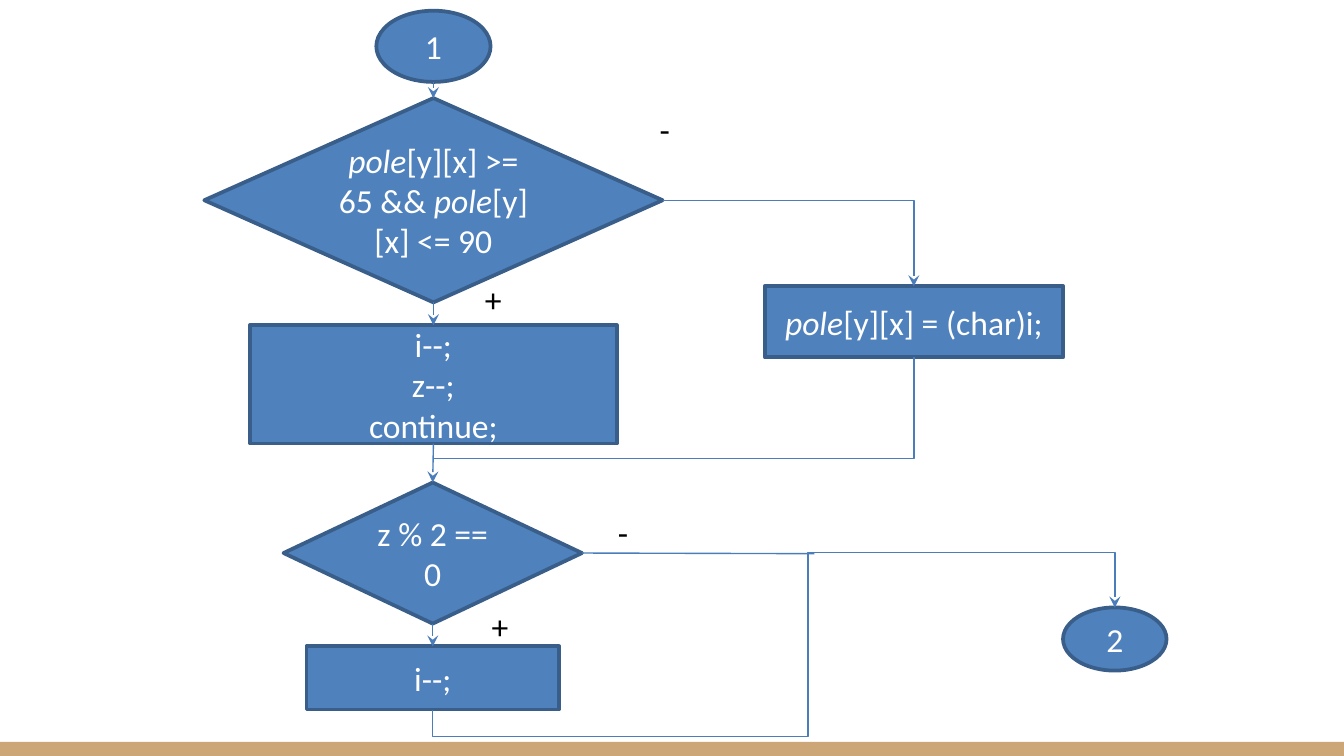
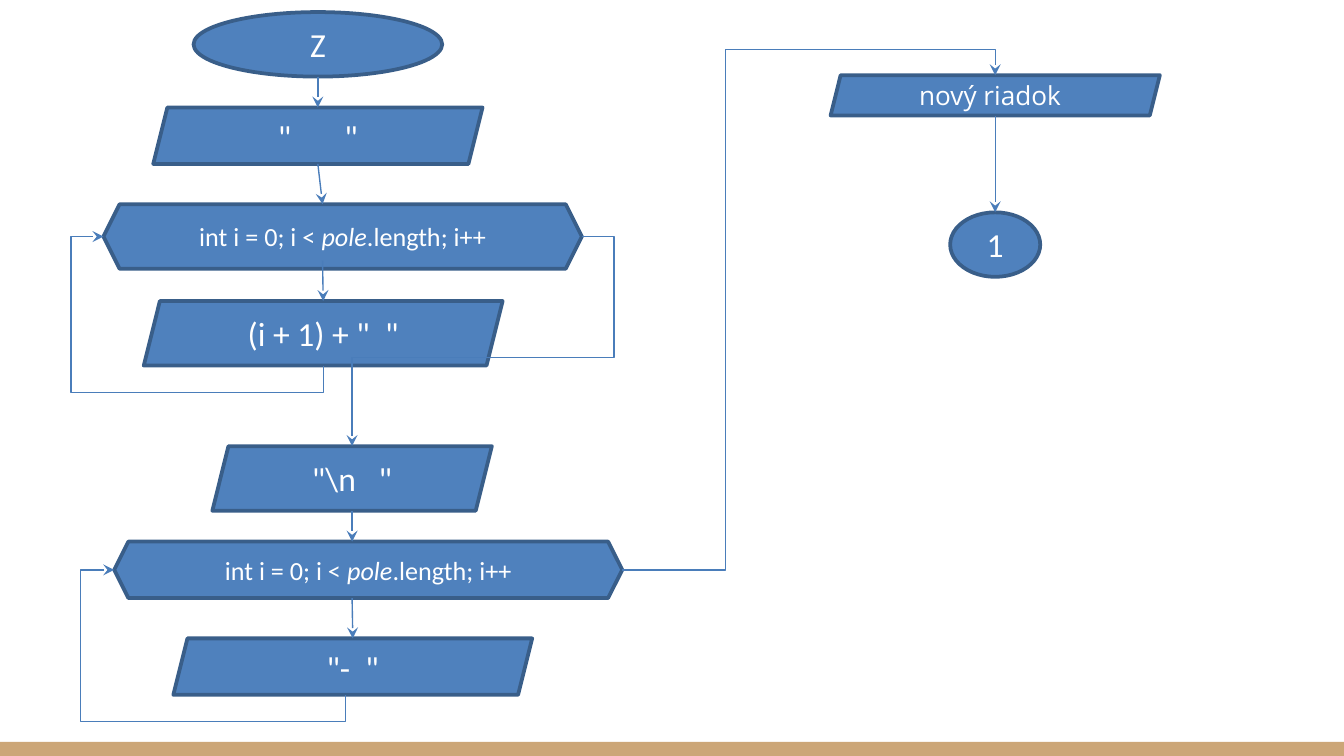
import pptx
import pptx.util
import pptx.dml.color
import pptx.enum.shapes
import pptx.enum.text
import pptx.oxml.ns
from lxml import etree

Inches = pptx.util.Inches
SHAPES = pptx.enum.shapes.MSO_SHAPE
CONNECTORS = pptx.enum.shapes.MSO_CONNECTOR
ALIGN = pptx.enum.text.PP_ALIGN
ANCHOR = pptx.enum.text.MSO_ANCHOR
qn = pptx.oxml.ns.qn

COLORS = {
    "band": "CCA677",
    "node": "4F81BD",
    "outline": "395E89",
    "arrow": "4A7DBA",
    "light": "FFFFFF",
    "dark": "000000",
}
KINDS = {
    "terminal": SHAPES.OVAL,
    "process": SHAPES.RECTANGLE,
    "decision": SHAPES.DIAMOND,
    "output": SHAPES.PARALLELOGRAM,
    "loop": SHAPES.HEXAGON,
}
LOOP_TEXT = "int i = 0; i < *pole*.length; i++"

# Nodes: name -> (kind, left, top, width, height, text); *...* is italic.
# Routes: points, each "node.side" or (x, y), and whether an arrowhead ends it.
# Labels: (text, left, top, width, height, format).
LETTER_CHECK = {
    "nodes": {
        "entry": ("terminal", 2.8, 0.08, 0.85, 0.53, "1"),
        "is_letter": ("decision", 1.52, 0.73, 3.41, 1.52,
                      "*pole*[y][x] >= 65 && *pole*[y][x] <= 90"),
        "skip": ("process", 1.86, 2.42, 2.73, 0.88, "i--;\nz--;\ncontinue;"),
        "store": ("process", 5.69, 2.13, 2.22, 0.53, "*pole*[y][x] = (char)i;"),
        "is_even": ("decision", 2.11, 3.59, 2.22, 1.05, "z % 2 == 0"),
        "step_back": ("process", 2.28, 4.81, 1.88, 0.47, "i--;"),
        "exit": ("terminal", 7.91, 4.52, 0.77, 0.47, "2"),
    },
    "routes": [
        (["entry.bottom", "is_letter.top"], True),
        (["is_letter.bottom", "skip.top"], True),
        (["skip.bottom", "is_even.top"], True),
        (["is_even.bottom", "step_back.top"], True),
        (["is_letter.right", (6.8, 1.48), "store.top"], True),
        (["store.bottom", (6.8, 3.41), (3.22, 3.41)], False),
        (["step_back.bottom", (3.22, 5.48), (6.01, 5.48), (6.01, 4.11),
          (8.29, 4.11), "exit.top"], True),
        (["is_even.right", (6.06, 4.12)], False),
    ],
    "labels": [
        ("+", 3.51, 2.03, 0.36, 0.3, {}),
        ("-", 4.81, 0.76, 0.3, 0.3, {}),
        ("+", 3.56, 4.46, 0.36, 0.3, {}),
        ("-", 4.5, 3.76, 0.3, 0.3, {}),
    ],
}
PRINT_HEADER = {
    "nodes": {
        "start": ("terminal", 1.44, 0.09, 1.85, 0.48, "Z"),
        "indent": ("output", 1.14, 0.8, 2.45, 0.42, '"       "'),
        "number_loop": ("loop", 0.77, 1.52, 3.56, 0.48, LOOP_TEXT),
        "number": ("output", 1.07, 2.24, 2.67, 0.48, '(i + 1) + "  "'),
        "line_break": ("output", 1.58, 3.32, 2.08, 0.48, '"\\n   "'),
        "dash_loop": ("loop", 0.85, 4.03, 3.78, 0.42, LOOP_TEXT),
        "dash": ("output", 1.29, 4.75, 2.67, 0.42, '"-  "'),
        "new_row": ("output", 6.18, 0.56, 2.45, 0.3, ""),
        "next": ("terminal", 7.07, 1.58, 0.67, 0.48, "1"),
    },
    "routes": [
        (["start.bottom", "indent.top"], True),
        (["indent.bottom", (2.4, 1.52)], True),
        ([(2.4, 1.94), "number.top"], True),
        (["number.bottom", (2.4, 2.92), (0.53, 2.92), (0.53, 1.76),
          "number_loop.left"], True),
        (["number_loop.right", (4.57, 1.76), (4.57, 2.66), (2.62, 2.66),
          "line_break.top"], True),
        (["line_break.bottom", (2.62, 4.03)], True),
        ([(2.62, 4.45), "dash.top"], True),
        ([(2.57, 5.17), (2.57, 5.37), (0.6, 5.37), (0.6, 4.24),
          "dash_loop.left"], True),
        (["dash_loop.right", (5.4, 4.24), (5.4, 0.37), (7.4, 0.37),
          "new_row.top"], True),
        (["new_row.bottom", "next.top"], True),
    ],
    "labels": [
        ("nový riadok", 6.74, 0.49, 2.24, 0.24,
         {"size": 14, "font": "Open Sans", "color": "light", "inset": 0.1}),
    ],
}


def rgb(name):
    return pptx.dml.color.RGBColor.from_string(COLORS[name])


def write_text(shape, text, size=18, font="Calibri", color="dark",
               align=ALIGN.LEFT, anchor=ANCHOR.TOP, inset=0.05):
    frame = shape.text_frame
    frame.word_wrap = True
    frame.vertical_anchor = anchor
    frame.margin_left = frame.margin_right = Inches(0.1)
    frame.margin_top = frame.margin_bottom = Inches(inset)
    for index, line in enumerate(text.split("\n")):
        paragraph = frame.add_paragraph() if index else frame.paragraphs[0]
        paragraph.alignment = align
        for part, words in enumerate(line.split("*")):
            if words:
                run = paragraph.add_run()
                run.text = words
                run.font.size = pptx.util.Pt(size)
                run.font.name = font
                run.font.italic = part % 2 == 1
                run.font.color.rgb = rgb(color)


def add_filled(slide, kind, box, fill):
    shape = slide.shapes.add_shape(kind, *map(Inches, box))
    shape.shadow.inherit = False
    shape.fill.solid()
    shape.fill.fore_color.rgb = rgb(fill)
    shape.line.fill.background()
    return shape


def add_node(slide, kind, left, top, width, height, text):
    shape = add_filled(slide, KINDS[kind], (left, top, width, height), "node")
    shape.line.color.rgb = rgb("outline")
    shape.line.width = pptx.util.Pt(2)
    if text:
        write_text(shape, text, size=14 if kind == "loop" else 18, color="light",
                   align=ALIGN.CENTER, anchor=ANCHOR.MIDDLE)


def locate(point, nodes):
    """Turn "node.side" into the middle of that side."""
    if not isinstance(point, str):
        return point
    name, side = point.split(".")
    left, top, width, height = nodes[name][1:5]
    across, down = {"top": (0.5, 0), "bottom": (0.5, 1),
                    "left": (0, 0.5), "right": (1, 0.5)}[side]
    return left + across * width, top + down * height


def bend(connector, points):
    """Shape an elbow connector so that it runs through the given points."""
    start, end = points[0], points[-1]
    delta = (end[0] - start[0], end[1] - start[1])
    # Axis of the first leg: 0 is horizontal, 1 is vertical
    first = int(abs(points[1][1] - start[1]) > abs(points[1][0] - start[0]))
    if first:
        turn = 90 if delta[0] < 0 else 270
    else:
        turn = 0 if delta[1] > 0 else 180
    flipped = (delta[first] < 0) != (turn in (180, 270))
    width, height = abs(delta[first]), abs(delta[1 - first])
    connector.left = Inches((start[0] + end[0] - width) / 2)
    connector.top = Inches((start[1] + end[1] - height) / 2)
    connector.width, connector.height = Inches(width), Inches(height)
    transform = connector._element.spPr.find(qn("a:xfrm"))
    for flag in ("flipH", "flipV"):
        transform.attrib.pop(flag, None)
    transform.set("rot", str(turn * 60000))
    if flipped:
        transform.set("flipH", "1")

    legs = len(points) - 1
    geometry = connector._element.spPr.find(qn("a:prstGeom"))
    geometry.set("prst", f"bentConnector{legs}")
    for child in list(geometry):
        geometry.remove(child)
    guides = etree.SubElement(geometry, qn("a:avLst"))
    for index in range(1, legs - 1):
        axis = (first + index - 1) % 2
        ratio = (points[index][axis] - start[axis]) / delta[axis]
        etree.SubElement(guides, qn("a:gd"), name=f"adj{index}",
                         fmla=f"val {round(ratio * 100000)}")


def add_route(slide, points, arrow):
    kind = CONNECTORS.STRAIGHT if len(points) == 2 else CONNECTORS.ELBOW
    connector = slide.shapes.add_connector(
        kind, *map(Inches, points[0] + points[-1]))
    if len(points) > 2:
        bend(connector, points)
    connector.line.color.rgb = rgb("arrow")
    connector.line.width = pptx.util.Pt(0.75)
    properties = connector._element.spPr
    if arrow:
        etree.SubElement(properties.find(qn("a:ln")), qn("a:tailEnd"),
                         type="stealth")
    etree.SubElement(properties, qn("a:effectLst"))


def add_flowchart(slide, chart):
    for node in chart["nodes"].values():
        add_node(slide, *node)
    for points, arrow in chart["routes"]:
        add_route(slide, [locate(point, chart["nodes"]) for point in points], arrow)
    for text, left, top, width, height, style in chart["labels"]:
        box = slide.shapes.add_textbox(*map(Inches, (left, top, width, height)))
        write_text(box, text, **style)


def add_master_band(presentation, slide):
    """Draw the bottom band, then move it to the back of the slide master."""
    band = add_filled(slide, SHAPES.RECTANGLE, (0, 5.52, 10, 0.11), "band")
    band._element.nvSpPr.cNvPr.set("id", "100")
    presentation.slide_master.shapes._spTree.insert(2, band._element)


def main():
    presentation = pptx.Presentation()
    # Widescreen, 16:9
    presentation.slide_width = Inches(10)
    presentation.slide_height = Inches(10 * 9 / 16)
    blank = presentation.slide_layouts[6]
    for chart in (LETTER_CHECK, PRINT_HEADER):
        slide = presentation.slides.add_slide(blank)
        if chart is LETTER_CHECK:
            add_master_band(presentation, slide)
        add_flowchart(slide, chart)
    presentation.save("out.pptx")


if __name__ == "__main__":
    main()
